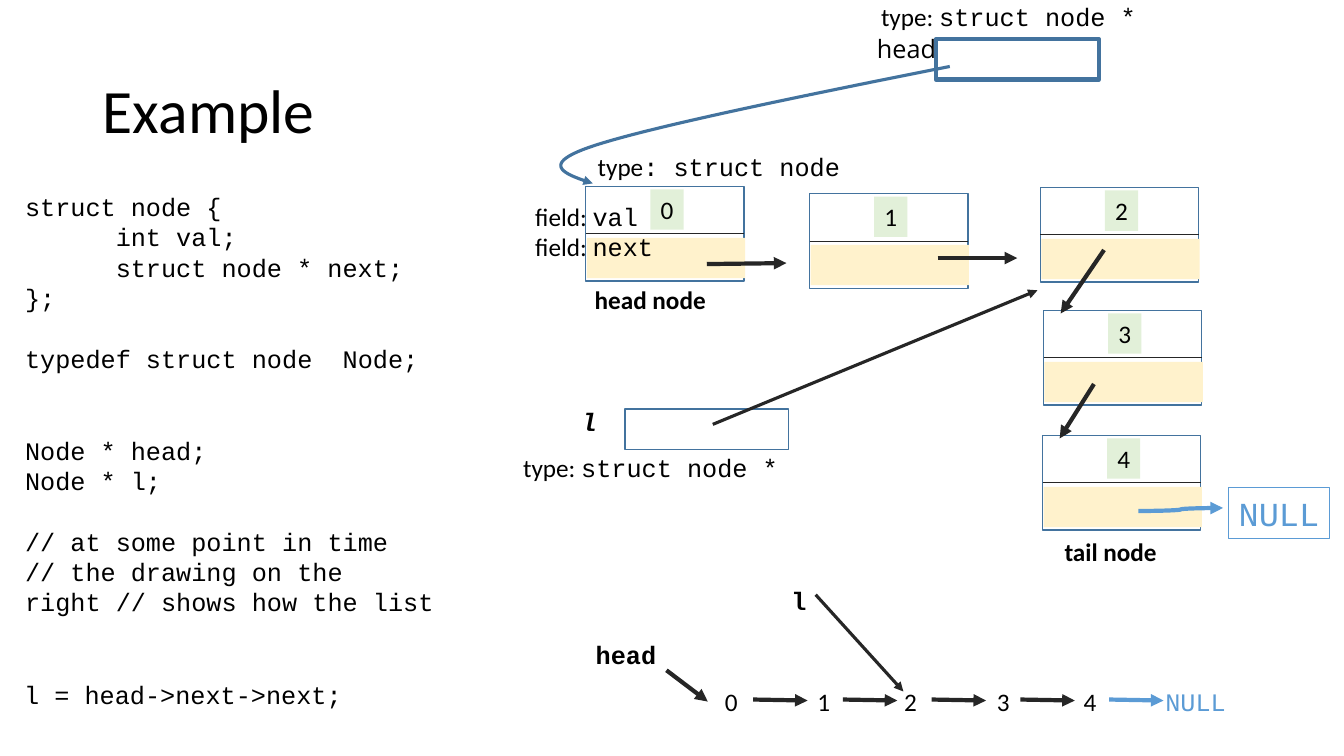
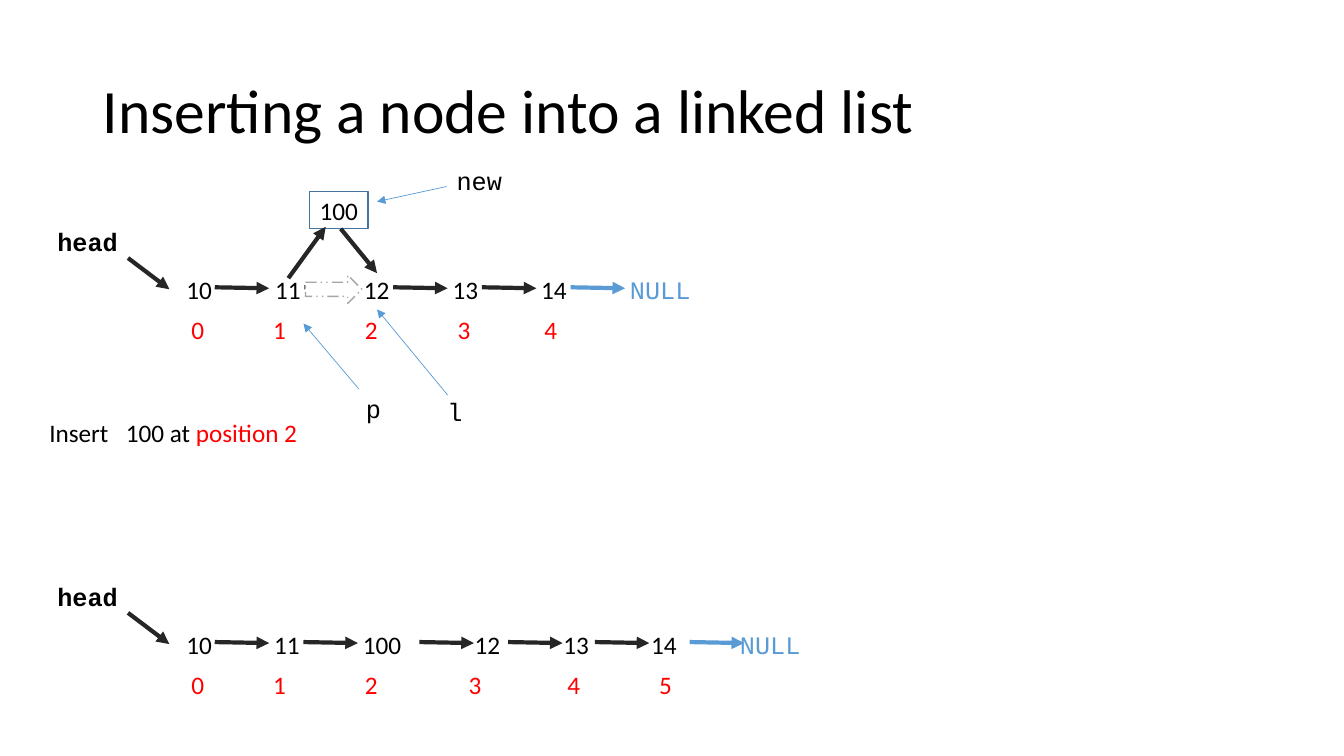
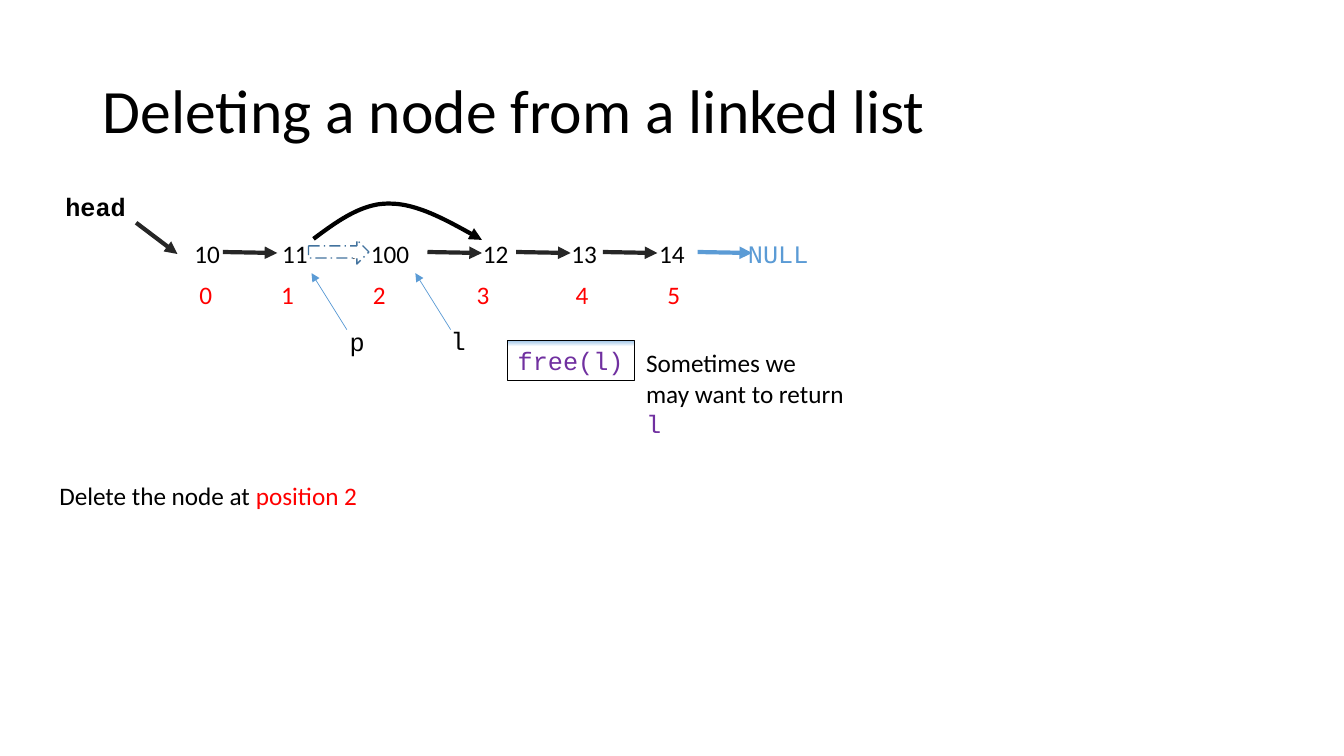
from lxml import etree
from pptx import Presentation
from pptx.dml.color import RGBColor
from pptx.enum.dml import MSO_LINE
from pptx.enum.shapes import MSO_CONNECTOR, MSO_SHAPE
from pptx.enum.text import MSO_ANCHOR, PP_ALIGN
from pptx.oxml.ns import qn
from pptx.util import Inches, Pt

COLORS = {
    "black": "000000", "white": "FFFFFF", "ink": "262626", "outline": "43739E",
    "blue": "5B9BD5", "red": "FF0000", "purple": "7030A0", "gray": "A6A6A6",
    "value": "E2F0D9", "pointer": "FFF2CC", "sky": "9DC3E6",
}
SANS, MONO, HEAD_FONT = "Calibri", "Courier New", "Open Sans"
RECT, RIGHT_ARROW = MSO_SHAPE.RECTANGLE, MSO_SHAPE.RIGHT_ARROW
STRAIGHT, CURVE = MSO_CONNECTOR.STRAIGHT, MSO_CONNECTOR.CURVE
LEFT, MIDDLE = PP_ALIGN.LEFT, MSO_ANCHOR.MIDDLE
DASH_DOT, DASH_DOT_DOT = MSO_LINE.LONG_DASH_DOT, MSO_LINE.DASH_DOT_DOT
LINE_PITCH = 22

# Offsets from the left edge of a chain, for chains of five and six nodes
FIVE_ARROWS = [0.38, 1.27, 2.15, 3.03, 3.91]
SIX_ARROWS = [0.38, 1.26, 2.41, 3.29, 4.15, 5.09]
DIGIT_LEFTS = [0, 0.92, 1.78, 2.7, 3.56, 4.37]
FIVE_LEFTS = [step * 0.88 for step in range(6)]
SIX_LEFTS = [0, 0.87, 1.75, 2.86, 3.74, 4.61, 5.49]
FIVE_INDEXES = [0.05, 0.86, 1.77, 2.69, 3.55]
SIX_INDEXES = [0.05, 0.86, 1.77, 2.8, 3.78, 4.69]


def rgb(name):
    """Return the named colour."""
    return RGBColor.from_string(COLORS[name])


def style_font(font, name, color, size=18, bold=False, italic=False):
    """Set the look of a paragraph or span font."""
    font.name, font.size = name, Pt(size)
    font.bold, font.italic = bold, italic
    font.color.rgb = rgb(color)


def add_page(deck, title):
    """Add a page with the shared title style."""
    page = deck.slides.add_slide(deck.slide_layouts[5])
    box = page.shapes.title
    box.left, box.top = Inches(0.92), Inches(0.4)
    box.width, box.height = Inches(11.5), Inches(1.45)
    frame = box.text_frame
    frame.text = title
    frame.vertical_anchor = MIDDLE
    para = frame.paragraphs[0]
    para.alignment = LEFT
    para.line_spacing = 0.9
    style_font(para.font, SANS, "black", 44)
    return page


def add_label(page, left, top, width, *lines, font=SANS, color="black", **look):
    """Add text lines; a line is a string or a list of (text, font, colour) spans."""
    box = page.shapes.add_textbox(Inches(left), Inches(top), Inches(width),
                                  Inches(0.1 + 0.3 * len(lines)))
    frame = box.text_frame
    frame.word_wrap = True
    for number, line in enumerate(lines):
        para = frame.add_paragraph() if number else frame.paragraphs[0]
        style_font(para.font, font, color, **look)
        if isinstance(line, str):
            para.text = line
            continue
        for text, span_font, span_color in line:
            span = para.add_run()
            span.text = text
            span.font.name = span_font
            span.font.color.rgb = rgb(span_color)
    return box


def add_box(page, left, top, width, height, fill=None, line=None, weight=1.0,
            kind=RECT, dash=None):
    """Add a preset shape with a plain fill and outline."""
    box = page.shapes.add_shape(kind, Inches(left), Inches(top),
                                Inches(width), Inches(height))
    box.shadow.inherit = False
    if fill:
        box.fill.solid()
        box.fill.fore_color.rgb = rgb(fill)
    else:
        box.fill.background()
    if line:
        box.line.color.rgb = rgb(line)
        box.line.width = Pt(weight)
    else:
        box.line.fill.background()
    if dash:
        box.line.dash_style = dash
    return box


def write_in(box, text, font=SANS, color="black", size=18):
    """Write one centred, unwrapped line into a shape."""
    box.text_frame.word_wrap = False
    para = box.text_frame.paragraphs[0]
    para.text = text
    style_font(para.font, font, color, size)


def add_arrowhead(shape):
    """Put a triangle at the end of a line."""
    outline = shape._element.spPr.find(qn("a:ln"))
    etree.SubElement(outline, qn("a:tailEnd"), type="triangle")


def add_line(page, start, end, color="ink", weight=3.0, kind=STRAIGHT, head=True):
    """Join two points, by default with an arrowhead at the second."""
    line = page.shapes.add_connector(kind, *map(Inches, start + end))
    line.line.color.rgb = rgb(color)
    line.line.width = Pt(weight)
    if head:
        add_arrowhead(line)
    etree.SubElement(line._element.spPr, qn("a:effectLst"))


def bezier(start, first, second, end, steps=24):
    """Return points along a cubic curve, without its start."""
    points = []
    for step in range(1, steps + 1):
        t = step / steps
        weights = ((1 - t) ** 3, 3 * t * (1 - t) ** 2, 3 * t * t * (1 - t), t ** 3)
        points.append(tuple(
            sum(weight * point[axis] for weight, point
                in zip(weights, (start, first, second, end)))
            for axis in (0, 1)))
    return points


def add_curved_arrow(page, start, segments, color, weight):
    """Draw an open curve of cubic segments that ends in an arrowhead."""
    points = [start]
    for segment in segments:
        points += bezier(points[-1], *segment)
    builder = page.shapes.build_freeform(Inches(start[0]), Inches(start[1]))
    builder.add_line_segments([(Inches(x), Inches(y)) for x, y in points[1:]],
                              close=False)
    curve = builder.convert_to_shape()
    curve.shadow.inherit = False
    curve.fill.background()
    curve.line.color.rgb = rgb(color)
    curve.line.width = Pt(weight)
    add_arrowhead(curve)


def draw_node(page, left, top, value):
    """Draw a node: value cell above, pointer cell below."""
    add_box(page, left, top, 1.57, 0.94, line="outline")
    add_line(page, (left, top + 0.47), (left + 1.57, top + 0.47),
             weight=0.5, head=False)
    write_in(add_box(page, left + 0.64, top + 0.03, 0.33, 0.4, fill="value"), value)
    add_box(page, left + 0.01, top + 0.51, 1.57, 0.4, fill="pointer")


def draw_chain(page, left, top, values, lefts, arrows, indexes=()):
    """Draw head, the values with arrows between them, NULL and red positions."""
    add_label(page, left - 1.28, top - 0.47, 1.03, "head", font=MONO, bold=True)
    add_line(page, (left - 0.48, top - 0.11), (left - 0.07, top + 0.2))
    for value, offset in zip(values, lefts):
        add_label(page, left + offset, top, 0.8, value)
    add_label(page, left + lefts[-1], top, 0.9, "NULL", font=MONO, color="blue")
    for offset in arrows:
        add_line(page, (left + offset, top + 0.18), (left + offset + 0.54, top + 0.19),
                 "blue" if offset == arrows[-1] else "ink")
    for index, offset in enumerate(indexes):
        add_label(page, left + offset, top + 0.4, 0.5, str(index), color="red")


def draw_code(page, left, top):
    """Write the listing; each line has an indent and a count of lines to skip."""
    listing = [
        ("struct node {", 0, 0), ("int val;", 0.9, 0),
        ("struct node * next;", 0.9, 0), ("};", 0, 0),
        ("typedef struct node  Node;", 0, 1),
        ("Node * head;", 0, 2), ("Node * l;", 0, 0),
        ("// at some point in time", 0, 1), ("// the drawing on the", 0, 0),
        ("right // shows how the list", 0, 0),
    ]
    box = add_label(page, left, top, 4.56, *(text for text, _, _ in listing), font=MONO)
    for para, (_, indent, skipped) in zip(box.text_frame.paragraphs, listing):
        para.space_before = Pt(skipped * LINE_PITCH)
        para._p.get_or_add_pPr().set("marL", str(Inches(indent)))
    add_label(page, left - 0.01, top + 4.84, 5.21, "l = head->next->next;", font=MONO)


def draw_memory(page):
    """Draw the five nodes in memory with the pointers head and l."""
    nodes = [(5.81, 1.85), (8.03, 1.92), (10.32, 1.86), (10.35, 3.08), (10.34, 4.32)]
    for value, (left, top) in enumerate(nodes):
        draw_node(page, left, top, str(value))
    for start, end in [((7.01, 2.62), (7.8, 2.61)), ((9.3, 2.56), (10.09, 2.56)),
                       ((10.95, 2.48), (10.52, 3.11)), ((10.85, 3.81), (10.51, 4.35))]:
        add_line(page, start, end)
    add_line(page, (11.29, 5.07), (12.13, 5.04), "blue", kind=CURVE)
    write_in(add_box(page, 12.18, 4.84, 1.01, 0.5, line="blue", weight=0.75),
             "NULL", MONO, "blue", 24)

    add_box(page, 9.28, 0.39, 1.62, 0.4, line="outline", weight=3)
    add_label(page, 8.6, 0.28, 1.7, "head", font=HEAD_FONT)
    add_curved_arrow(page, (9.42, 0.66),
                     [((7.96, 0.95), (6.5, 1.25), (5.91, 1.44)),
                      ((5.32, 1.63), (5.6, 1.73), (5.88, 1.82))], "outline", 2.25)
    add_box(page, 6.2, 4.06, 1.62, 0.4, line="outline")
    add_label(page, 5.67, 3.98, 0.56, "l", font=MONO, bold=True, italic=True)
    add_line(page, (7.07, 4.21), (10.29, 2.88), weight=2.25)

    pointer_type = [("type: ", SANS, "black"), ("struct node *", MONO, "black")]
    add_label(page, 8.64, -0.04, 2.89, pointer_type)
    add_label(page, 5.09, 4.44, 2.8, pointer_type)
    add_label(page, 5.83, 1.45, 2.77,
              [("type", SANS, "black"), (": struct node", MONO, "black")])
    add_label(page, 5.21, 1.95, 1.72,
              *([("field: ", SANS, "black"), (name, MONO, "black")]
                for name in ("val", "next")))
    add_label(page, 5.8, 2.77, 1.4, "head node", bold=True)
    add_label(page, 10.46, 5.27, 1.3, "tail node", bold=True)


def build_example(deck):
    """Build the page that shows the node type and a list in memory."""
    page = add_page(deck, "Example")
    draw_code(page, 0.15, 1.85)
    draw_memory(page)
    draw_chain(page, 7.09, 6.76, "01234", DIGIT_LEFTS, FIVE_ARROWS)
    add_label(page, 7.75, 5.76, 0.59, "l", font=MONO, bold=True)
    add_line(page, (8.09, 5.9), (8.96, 6.86), weight=2.25)


def build_insertion(deck):
    """Build the page that shows a list before and after an insertion."""
    page = add_page(deck, "Inserting a node into a linked list")
    draw_chain(page, 1.75, 2.67, ["10", "11", "12", "13", "14"],
               FIVE_LEFTS, FIVE_ARROWS, FIVE_INDEXES)
    draw_chain(page, 1.75, 6.19, ["10", "11", "100", "12", "13", "14"],
               SIX_LEFTS, SIX_ARROWS, SIX_INDEXES)
    add_label(page, 0.39, 4.09, 0.85, "Insert")
    add_label(page, 1.15, 4.09, 2.1,
              [("100 at ", SANS, "black"), ("position 2", SANS, "red")])

    write_in(add_box(page, 3.07, 1.9, 0.58, 0.37, line="outline"), "100")
    add_line(page, (3.38, 2.27), (3.74, 2.71))
    add_line(page, (2.86, 2.76), (3.23, 2.25))
    add_box(page, 3.03, 2.73, 0.56, 0.28, "white", "gray",
            kind=RIGHT_ARROW, dash=DASH_DOT_DOT)
    for name, left, top, start, end in [
            ("p", 3.53, 3.85, (3.56, 3.86), (3.01, 3.21)),
            ("l", 4.34, 3.88, (4.44, 3.92), (3.74, 3.07)),
            ("new", 4.43, 1.59, (4.43, 1.85), (3.74, 2.0))]:
        add_label(page, left, top, 0.7, name, font=MONO)
        add_line(page, start, end, "blue", 0.5)


def build_deletion(deck):
    """Build the page that shows a node being bypassed and freed."""
    page = add_page(deck, "Deleting a node from a linked list")
    glow = add_box(page, 5.04, 3.38, 1.25, 0.06, fill="sky")
    glow.fill.gradient()
    glow.fill.gradient_angle = 270
    for stop, color, position in zip(glow.fill.gradient_stops,
                                     ("sky", "white"), (0, 0.97)):
        stop.color.rgb = rgb(color)
        stop.position = position

    draw_chain(page, 1.83, 2.32, ["10", "11", "100", "12", "13", "14"],
               SIX_LEFTS, SIX_ARROWS, SIX_INDEXES)
    add_label(page, 0.49, 4.72, 3.44,
              [("Delete the node at ", SANS, "black"), ("position 2", SANS, "red")])
    for name, left, top, tip in [("p", 3.37, 3.19, 3.09), ("l", 4.37, 3.18, 4.12)]:
        add_label(page, left, top, 0.49, name, font=MONO)
        add_line(page, (tip + 0.35, 3.27), (tip, 2.71), "blue", 0.5)
    add_curved_arrow(page, (3.11, 2.37),
                     [((3.35, 2.19), (3.6, 2.01), (3.87, 2.02)),
                      ((4.15, 2.02), (4.46, 2.2), (4.78, 2.38))], "black", 3)
    add_box(page, 3.06, 2.38, 0.6, 0.24, "white", "outline",
            kind=RIGHT_ARROW, dash=DASH_DOT)
    write_in(add_box(page, 5.03, 3.38, 1.26, 0.4, line="black", weight=0.75),
             "free(l)", MONO, "purple")
    add_label(page, 6.31, 3.4, 2.3, "Sometimes we", "may want to return",
              [("l", MONO, "purple")])


def main():
    """Build and save the deck."""
    deck = Presentation()
    deck.slide_width, deck.slide_height = Inches(13.33), Inches(7.5)
    build_example(deck)
    build_insertion(deck)
    build_deletion(deck)
    deck.save("out.pptx")


main()
